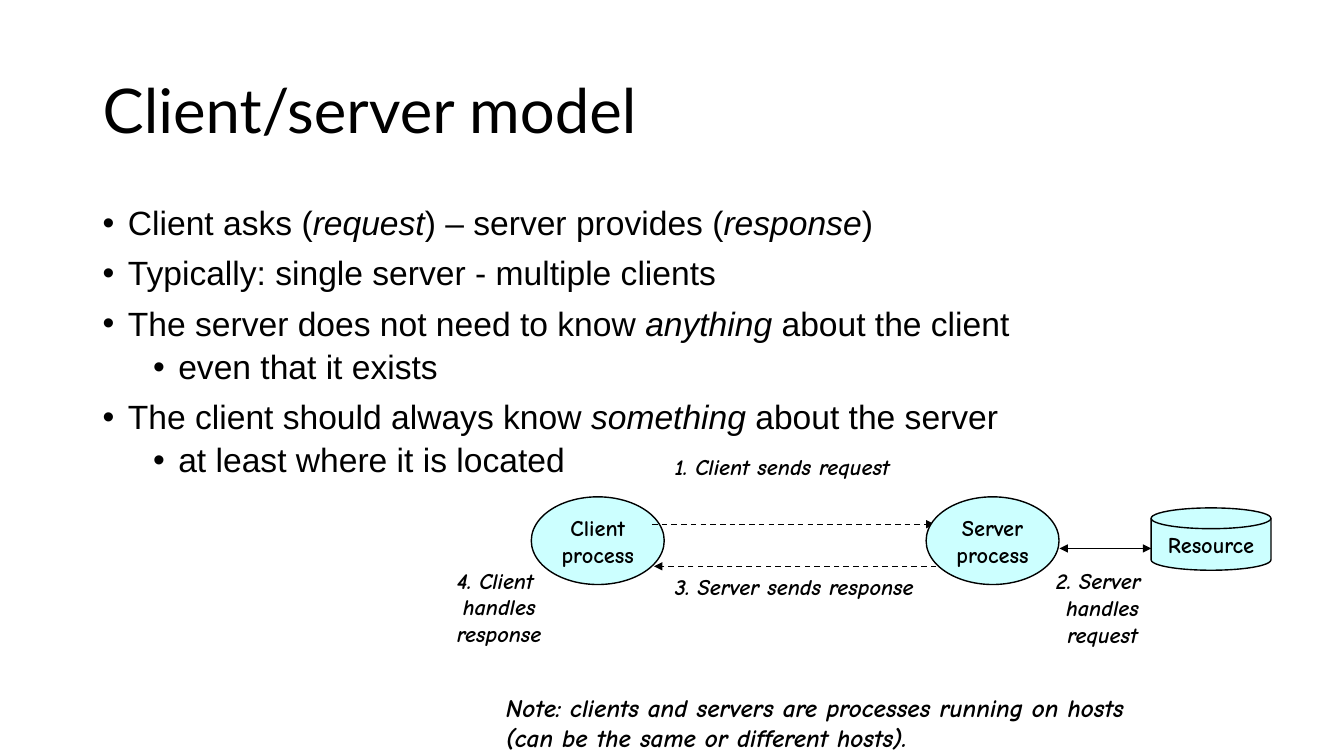
from dataclasses import dataclass

from pptx import Presentation
from pptx.dml.color import RGBColor as Rgb
from pptx.enum.dml import MSO_LINE as Dash
from pptx.enum.shapes import MSO_CONNECTOR as Conn, MSO_SHAPE as Geo
from pptx.enum.text import MSO_ANCHOR as Anchor, PP_ALIGN as Align
from pptx.oxml.ns import qn
from pptx.shapes.base import BaseShape
from pptx.util import Cm, Pt
from lxml.etree import SubElement as Sub

COLORS = {"ink": "000000", "node": "CCFFFF"}
HAND = "Comic Neue"


@dataclass
class Box:
    left: float
    top: float
    width: float
    height: float

    def cm(self) -> list[Cm]:
        return [Cm(v) for v in (self.left, self.top, self.width, self.height)]


@dataclass
class Node:
    text: str
    box: Box
    geo: Geo = Geo.OVAL


@dataclass
class Label:
    text: str
    box: Box
    size: int = 16
    align: Align = Align.CENTER
    anchor: Anchor = Anchor.MIDDLE


@dataclass
class Arrow:
    start: float
    end: float
    y: float
    dashed: bool = True
    both: bool = False


@dataclass
class Point:
    text: str  # asterisks enclose italic words
    level: int = 0


POINTS = [
    Point("Client asks (*request*) – server provides (*response*)"),
    Point("Typically: single server - multiple clients"),
    Point("The server does not need to know *anything* about the client"),
    Point("even that it exists", 1),
    Point("The client should always know *something* about the server"),
    Point("at least where it is located", 1),
]

# Back to front: the server covers the tip of the request arrow
PARTS = [
    Node("Client\nprocess", Box(13.39, 12.52, 3.35, 2.21)),
    Arrow(16.43, 23.55, 13.21),
    Node("Server\nprocess", Box(23.34, 12.52, 3.35, 2.21)),
    Label("1. Client sends request", Box(16.26, 11.28, 6.91, 0.94)),
    Label("2. Server \nhandles\nrequest", Box(26.06, 14.17, 3.45, 2.29)),
    Arrow(23.6, 16.48, 14.27),
    Label("3. Server sends response", Box(16.26, 14.3, 7.52, 0.94)),
    Label("4. Client \nhandles\nresponse", Box(11.02, 14.15, 3.12, 2.29)),
    Arrow(26.7, 29.01, 13.82, dashed=False, both=True),
    Node("Resource", Box(29.01, 12.8, 3.02, 1.57), Geo.FLOWCHART_MAGNETIC_DISK),
    Label("Note: clients and servers are processes running on hosts\n"
          "(can be the same or different hosts).",
          Box(12.5, 17.32, 18.42, 1.78), 18, Align.LEFT, Anchor.TOP),
]


def color(name: str) -> Rgb:
    return Rgb.from_string(COLORS[name])


def style(para, face: str, size: int, bold: bool = False, italic: bool = False) -> None:
    font = para.font
    font.name, font.size = face, Pt(size)
    font.bold, font.italic = bold, italic
    font.color.rgb = color("ink")


def write(shape: BaseShape, text: str, size: int, align: Align,
          anchor: Anchor, italic: bool) -> None:
    frame = shape.text_frame
    frame.word_wrap = True
    frame.vertical_anchor = anchor
    frame.text = text
    for para in frame.paragraphs:
        para.alignment = align
        style(para, HAND, size, True, italic)


def add_node(shapes, node: Node) -> None:
    shape = shapes.add_shape(node.geo, *node.box.cm())
    shape.shadow.inherit = False
    shape.fill.solid()
    shape.fill.fore_color.rgb = color("node")
    shape.line.color.rgb = color("ink")
    shape.line.width = Pt(1)
    write(shape, node.text, 16, Align.CENTER, Anchor.MIDDLE, False)


def add_label(shapes, label: Label) -> None:
    shape = shapes.add_textbox(*label.box.cm())
    write(shape, label.text, label.size, label.align, label.anchor, True)


def add_arrow(shapes, arrow: Arrow) -> None:
    y = Cm(arrow.y)
    conn = shapes.add_connector(Conn.STRAIGHT, Cm(arrow.start), y, Cm(arrow.end), y)
    conn.line.color.rgb = color("ink")
    conn.line.width = Pt(1)
    if arrow.dashed:
        conn.line.dash_style = Dash.DASH
    props = conn._element.spPr
    for tag in ["a:headEnd", "a:tailEnd"] if arrow.both else ["a:tailEnd"]:
        Sub(props.find(qn("a:ln")), qn(tag), type="triangle")
    Sub(props, qn("a:effectLst"))


def add_title(shapes, text: str) -> None:
    frame = shapes.add_textbox(*Box(2.34, 1.02, 29.21, 3.68).cm()).text_frame
    frame.word_wrap = True
    frame.vertical_anchor = Anchor.MIDDLE
    frame.text = text
    para = frame.paragraphs[0]
    para.line_spacing = 0.9
    style(para, "Lato", 44)


def add_points(shapes, points: list[Point]) -> None:
    frame = shapes.add_textbox(*Box(2.34, 5.08, 29.21, 12.09).cm()).text_frame
    frame.word_wrap = True
    for i, point in enumerate(points):
        para = frame.add_paragraph() if i else frame.paragraphs[0]
        para.level = point.level
        para.line_spacing = 0.9
        if i:
            para.space_before = Pt(5 if point.level else 10)
        props = para._p.get_or_add_pPr()
        props.set("marL", str(Cm(0.635 + 1.27 * point.level)))
        props.set("indent", str(Cm(-0.635)))
        tint = Sub(props, qn("a:buClr"))
        Sub(tint, qn("a:srgbClr"), val=COLORS["ink"])
        Sub(props, qn("a:buFont"), typeface="Arial")
        Sub(props, qn("a:buChar"), char="•")
        style(para, "Arial", 24)
        for j, piece in enumerate(point.text.split("*")):
            run = para.add_run()
            run.text = piece
            if j % 2:
                run.font.italic = True


def main() -> None:
    deck = Presentation()
    deck.slide_width, deck.slide_height = Cm(33.87), Cm(19.05)
    shapes = deck.slides.add_slide(deck.slide_layouts[6]).shapes

    # Heading and bullets
    add_title(shapes, "Client/server model")
    add_points(shapes, POINTS)

    # Diagram
    draw = {Node: add_node, Label: add_label, Arrow: add_arrow}
    for part in PARTS:
        draw[type(part)](shapes, part)

    deck.save("out.pptx")


if __name__ == "__main__":
    main()
